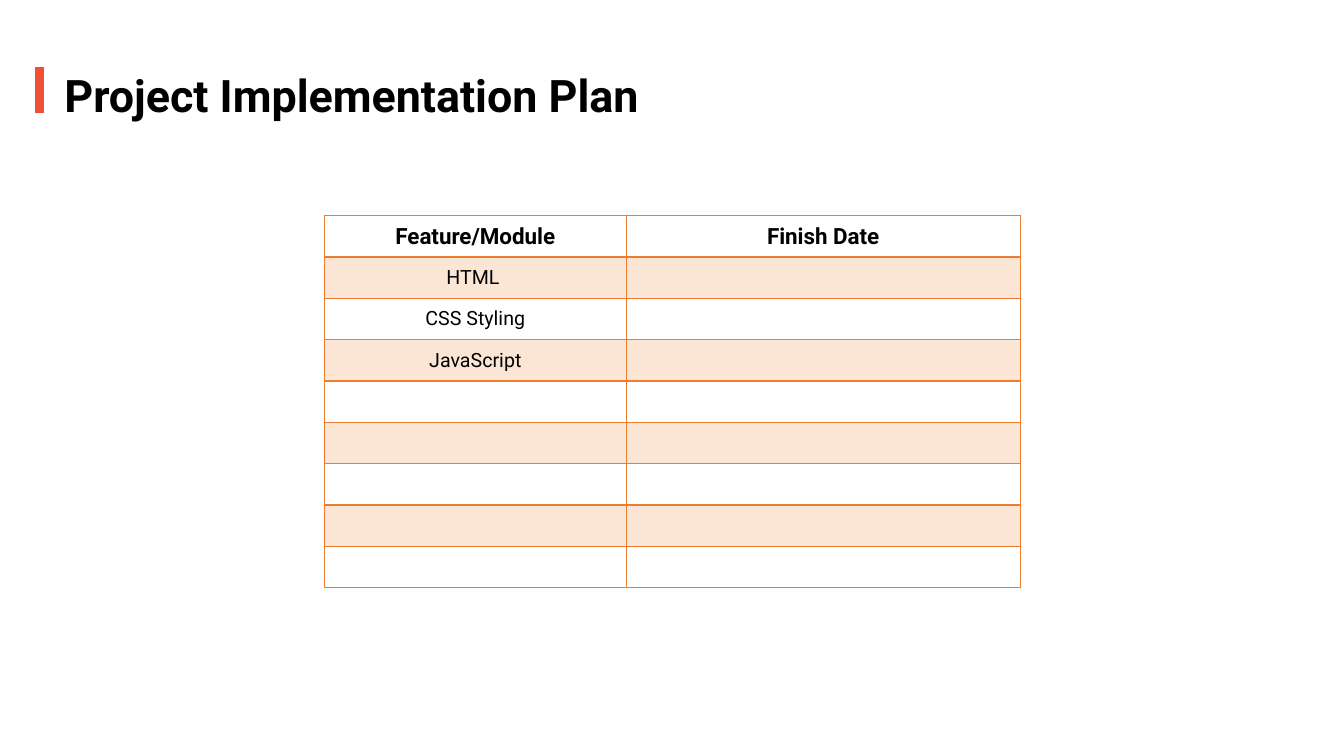
from lxml.etree import SubElement
from pptx import Presentation
from pptx.dml.color import RGBColor
from pptx.enum.shapes import MSO_SHAPE
from pptx.enum.text import MSO_ANCHOR, MSO_AUTO_SIZE, PP_ALIGN
from pptx.oxml import parse_xml
from pptx.oxml.ns import nsdecls, qn
from pptx.util import Inches, Pt

TITLE = "Project Implementation Plan"
ROWS = [
    ("Feature/Module", "Finish Date"),
    ("HTML ", ""),
    ("CSS Styling", ""),
    ("JavaScript", ""),
] + [("", "")] * 5
WIDTHS = (2.99, 3.91)
HEIGHT = 0.41
FONT = "Roboto"
BLACK = RGBColor(0, 0, 0)
WHITE = RGBColor(255, 255, 255)
RED = RGBColor(0xF0, 0x51, 0x36)
ORANGE = RGBColor(0xED, 0x7D, 0x31)


def write(para, text, size, bold):
    run = para.add_run()
    run.text = text
    font = run.font
    font.name, font.size, font.bold = FONT, Pt(size), bold
    font.color.rgb = BLACK


def tint(cell):
    cell.fill.solid()
    cell.fill.fore_color.rgb = ORANGE
    color = cell.fill._xPr.find(qn("a:solidFill"))[0]
    SubElement(color, qn("a:alpha")).set("val", "20000")


def frame(cell, sides):
    props = cell._tc.get_or_add_tcPr()
    for i, (side, width) in enumerate(sides.items()):
        props.insert(i, parse_xml(
            f'<a:ln{side} {nsdecls("a")} w="{Pt(width)}"><a:solidFill>'
            f'<a:srgbClr val="{ORANGE}"/></a:solidFill></a:ln{side}>'))


deck = Presentation()
deck.slide_width, deck.slide_height = Inches(13.33), Inches(7.5)
slide = deck.slides.add_slide(deck.slide_layouts[6])

bar = slide.shapes.add_shape(
    MSO_SHAPE.RECTANGLE, Inches(0.34), Inches(0.66), Inches(0.1), Inches(0.47))
bar.shadow.inherit = False
bar.fill.solid()
bar.fill.fore_color.rgb = RED
bar.line.color.rgb = WHITE
bar.line.width = Pt(1)

title = slide.shapes.add_textbox(
    Inches(0.54), Inches(0.62), Inches(6.42), Inches(0.64)).text_frame
title.word_wrap = False
title.auto_size = MSO_AUTO_SIZE.SHAPE_TO_FIT_TEXT
write(title.paragraphs[0], TITLE, 32, True)

table = slide.shapes.add_table(
    len(ROWS), len(WIDTHS), Inches(3.22), Inches(2.14),
    Inches(sum(WIDTHS)), Inches(HEIGHT * len(ROWS))).table
table.horz_banding = False
for col, width in zip(table.columns, WIDTHS):
    col.width = Inches(width)
for r, texts in enumerate(ROWS):
    table.rows[r].height = Inches(HEIGHT)
    head = r == 0
    for c, text in enumerate(texts):
        cell = table.cell(r, c)
        cell.vertical_anchor = MSO_ANCHOR.MIDDLE
        para = cell.text_frame.paragraphs[0]
        para.alignment = PP_ALIGN.CENTER
        if text:
            write(para, text, 16 if head else 14, head)
        if r % 2:
            tint(cell)
        else:
            cell.fill.background()
        frame(cell, {"L": 1, "R": 1, "T": 2 if r == 1 else 1, "B": 2 if head else 1})

deck.save("out.pptx")
